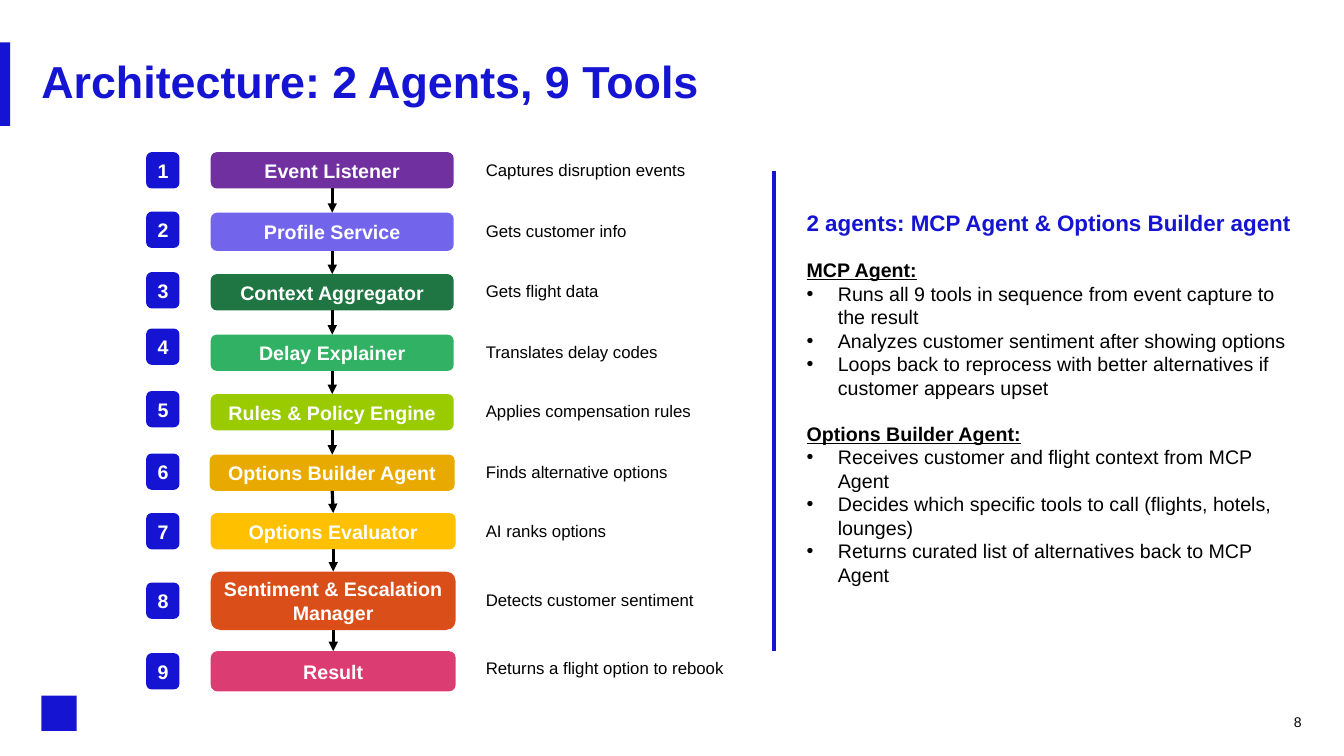
from itertools import pairwise

from lxml import etree
from pptx import Presentation
from pptx import util as u
from pptx.dml.color import RGBColor
from pptx.enum import shapes, text
from pptx.oxml import ns

COLORS = {
    "blue": "1414D2", "white": "FFFFFF", "black": "000000",
    "purple": "7030A0", "violet": "7365EB", "forest": "207643",
    "green": "31B164", "lime": "99CB00", "amber": "E9AA00",
    "yellow": "FFC000", "orange": "DA4E1A", "pink": "DB3C71",
}

STEPS = [
    ("Event Listener", "purple", (209, 151, 241, 36), 151, "Captures disruption events", 153),
    ("Profile Service", "violet", (209, 211, 241, 38), 210, "Gets customer info", 214),
    ("Context Aggregator", "forest", (209, 272, 241, 36), 270, "Gets flight data", 274),
    ("Delay Explainer", "green", (209, 332, 241, 36), 326, "Translates delay codes", 334),
    ("Rules & Policy Engine", "lime", (209, 391, 241, 36), 388, "Applies compensation rules", 393),
    ("Options Builder Agent", "amber", (208, 451, 243, 36), 450, "Finds alternative options", 453),
    ("Options Evaluator", "yellow", (209, 509, 243, 36), 509, "AI ranks options", 512),
    ("Sentiment & Escalation Manager", "orange", (209, 567, 243, 58), 578,
     "Detects customer sentiment", 580),
    ("Result", "pink", (209, 646, 243, 40), 648, "Returns a flight option to rebook", 648),
]

AGENTS = {
    "MCP Agent:": [
        "Runs all 9 tools in sequence from event capture to the result",
        "Analyzes customer sentiment after showing options",
        "Loops back to reprocess with better alternatives if customer appears upset",
    ],
    "Options Builder Agent:": [
        "Receives customer and flight context from MCP Agent",
        "Decides which specific tools to call (flights, hotels, lounges)",
        "Returns curated list of alternatives back to MCP Agent",
    ],
}


def px(n):
    return u.Emu(n * 9144)


def rgb(name):
    return RGBColor.from_string(COLORS[name])


class Deck:
    font = "Arial"

    def __init__(self, prs):
        self.slide = prs.slides.add_slide(prs.slide_layouts[6])

    def style(self, p, size, color, bold=False, underline=False, align=None):
        p.alignment = align
        for r in p.runs:
            r.font.name = self.font
            r.font.size = u.Pt(size)
            r.font.bold = bold
            r.font.underline = underline
            r.font.color.rgb = rgb(color)

    def block(self, kind, box, fill, line=None):
        s = self.slide.shapes.add_shape(kind, *map(px, box))
        s.shadow.inherit = False
        s.fill.solid()
        s.fill.fore_color.rgb = rgb(fill)
        if line:
            s.line.color.rgb = rgb(line)
            s.line.width = u.Pt(0.75)
        else:
            s.line.fill.background()
        return s

    def rect(self, box, fill):
        return self.block(shapes.MSO_SHAPE.RECTANGLE, box, fill)

    def label(self, box, fill, words):
        s = self.block(shapes.MSO_SHAPE.ROUNDED_RECTANGLE, box, fill)
        s.text_frame.text = words
        s.text_frame.word_wrap = True
        self.style(s.text_frame.paragraphs[0], 14, "white", True, align=text.PP_ALIGN.CENTER)
        return s

    def note(self, box, words):
        s = self.block(shapes.MSO_SHAPE.RECTANGLE, box, "white", "white")
        s.text_frame.text = words
        s.text_frame.word_wrap = True
        self.style(s.text_frame.paragraphs[0], 12, "black", align=text.PP_ALIGN.LEFT)

    def textbox(self, box, words, size, color, **look):
        tf = self.slide.shapes.add_textbox(*map(px, box)).text_frame
        tf.margin_left = tf.margin_right = tf.margin_top = tf.margin_bottom = 0
        tf.word_wrap = True
        tf.text = words
        self.style(tf.paragraphs[0], size, color, **look)
        return tf

    def line(self, start, end, color, width):
        c = self.slide.shapes.add_connector(
            shapes.MSO_CONNECTOR.STRAIGHT, *map(px, start + end))
        c.line.color.rgb = rgb(color)
        c.line.width = u.Pt(width)
        etree.SubElement(c._element.spPr, ns.qn("a:effectLst"))
        return c

    def arrow(self, upper, lower):
        c = self.line((0, 0), (0, 0), "black", 2.25)
        c.begin_connect(upper, 2)
        c.end_connect(lower, 0)
        etree.SubElement(c.line._get_or_add_ln(), ns.qn("a:tailEnd"), type="triangle")

    def heading(self, tf, words):
        p = tf.add_paragraph()
        p.text = words
        p.space_before = u.Pt(16)
        self.style(p, 14, "black", True, True)

    def bullet(self, tf, words):
        p = tf.add_paragraph()
        p.text = words
        pPr = p._p.get_or_add_pPr()
        pPr.set("marL", str(px(31)))
        pPr.set("indent", str(px(-31)))
        etree.SubElement(pPr, ns.qn("a:buFont"), typeface=self.font)
        etree.SubElement(pPr, ns.qn("a:buChar"), char="•")
        self.style(p, 14, "black")


def main():
    prs = Presentation()
    prs.slide_width, prs.slide_height = u.Inches(13.33), u.Inches(7.5)
    deck = Deck(prs)

    deck.rect((0, 42, 10, 83), "blue")
    deck.rect((41, 690, 35, 35), "blue")
    title = deck.textbox((41, 59, 1250, 48), "Architecture: 2 Agents, 9 Tools", 32, "blue", bold=True)
    title.paragraphs[0].line_spacing = 0.9
    deck.textbox((1244, 708, 47, 20), "8", 10, "black", align=text.PP_ALIGN.RIGHT)

    tools = []
    for number, (name, color, box, badge_top, words, note_top) in enumerate(STEPS, 1):
        deck.label((145, badge_top, 33, 36), "blue", str(number))
        tools.append(deck.label(box, color, name))
        deck.note((472, note_top, 264, 30), words)
    for upper, lower in pairwise(tools):
        deck.arrow(upper, lower)

    deck.line((768, 170), (768, 646), "blue", 3)
    tf = deck.textbox((800, 207, 489, 401), "2 agents: MCP Agent & Options Builder agent",
                      16, "blue", bold=True)
    for agent, duties in AGENTS.items():
        deck.heading(tf, agent)
        for duty in duties:
            deck.bullet(tf, duty)

    prs.save("out.pptx")


if __name__ == "__main__":
    main()
